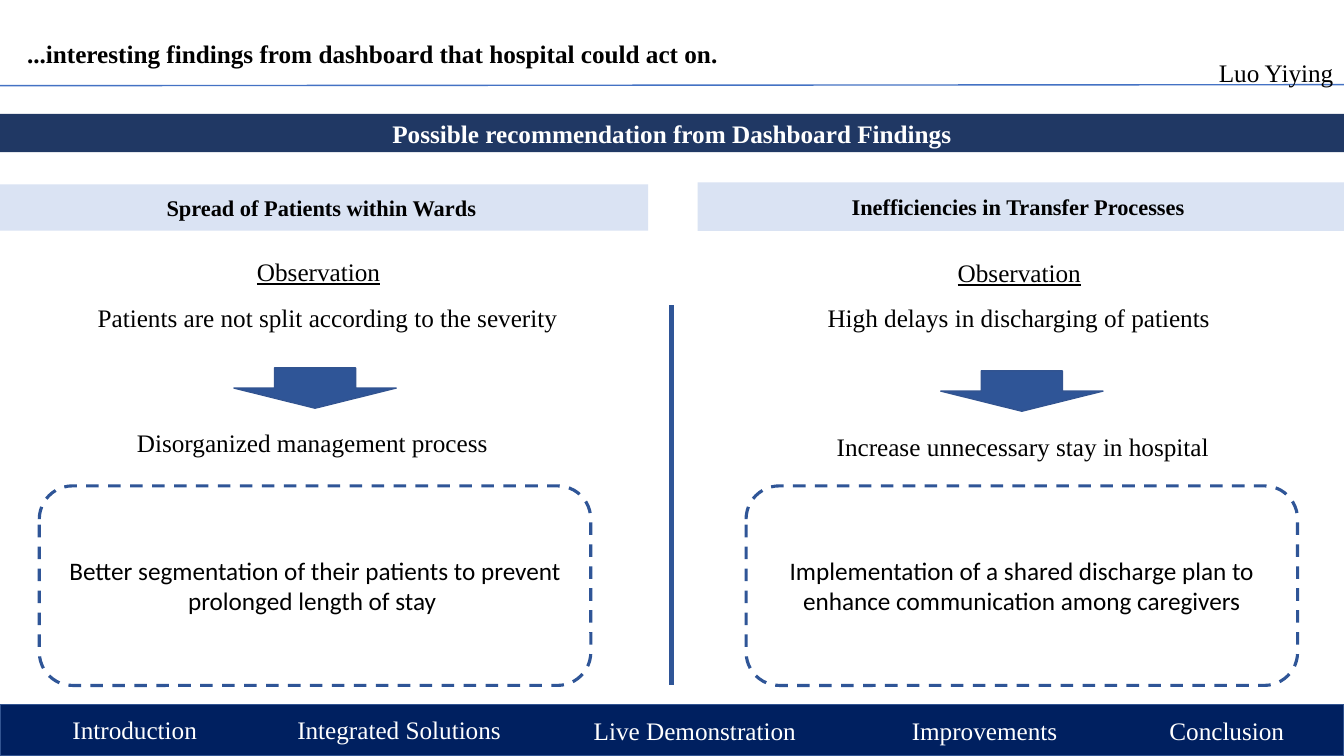
from lxml import etree
from pptx import Presentation
from pptx import util as u
from pptx.dml import color
from pptx.enum import dml, shapes, text
from pptx.oxml import ns

PX = 9144
SERIF = "Times New Roman"
NAVY, BLUE, EDGE, PALE = "002060", "2F5597", "325491", "DAE3F3"
BLACK, WHITE = "000000", "FFFFFF"


def rgb(value):
    """Turn a hex string into a colour."""
    return color.RGBColor.from_string(value)


def px(*lengths):
    """Turn pixel lengths into EMU."""
    return [u.Emu(length * PX) for length in lengths]


def write(shape, words, size=18, font=SERIF, ink=BLACK, bold=False, underline=False,
          align="LEFT", anchor="TOP", wrap=True, spacing=None):
    """Put one formatted paragraph into a shape."""
    frame = shape.text_frame
    frame.word_wrap = wrap
    frame.vertical_anchor = getattr(text.MSO_ANCHOR, anchor)
    para = frame.paragraphs[0]
    para.alignment = getattr(text.PP_ALIGN, align)
    para.line_spacing = spacing
    span = para.add_run()
    span.text = words
    span.font.name = font
    span.font.size = u.Pt(size)
    span.font.bold = bold
    span.font.underline = underline
    span.font.color.rgb = rgb(ink)


def add_label(page, place, words, **style):
    """Add a text box."""
    write(page.shapes.add_textbox(*px(*place)), words, **style)


def add_box(page, kind, place, fill, edge=None, width=1, dash=False):
    """Add a filled preset shape with an optional outline."""
    box = page.shapes.add_shape(getattr(shapes.MSO_SHAPE, kind), *px(*place))
    box.shadow.inherit = False
    box.fill.solid()
    box.fill.fore_color.rgb = rgb(fill)
    if edge is None:
        box.line.fill.background()
    else:
        box.line.color.rgb = rgb(edge)
        box.line.width = u.Pt(width)
    if dash:
        box.line.dash_style = dml.MSO_LINE.DASH
    return box


def add_rule(page, ends, ink, width):
    """Add a straight line without a shadow."""
    rule = page.shapes.add_connector(shapes.MSO_CONNECTOR.STRAIGHT, *px(*ends))
    rule.line.color.rgb = rgb(ink)
    rule.line.width = u.Pt(width)
    etree.SubElement(rule._element.spPr, ns.qn("a:effectLst"))


def add_band(page, place, fill, words, **style):
    """Add a full-colour band with a centred bold heading."""
    band = add_box(page, "RECTANGLE", place, fill)
    write(band, words, bold=True, align="CENTER", anchor="MIDDLE", **style)


def add_finding(page, heading, observation, arrow, effect, advice):
    """Add one column leading from an observation to a recommendation."""
    add_band(page, heading[0], PALE, heading[1], size=16)
    add_label(page, observation[0], "Observation", underline=True)
    add_label(page, observation[1], observation[2], wrap=False)
    add_box(page, "DOWN_ARROW", (*arrow, 161, 40), BLUE, EDGE)
    add_label(page, effect[0], effect[1], wrap=False)
    card = add_box(page, "ROUNDED_RECTANGLE", (advice[0], 482, 547, 198), WHITE, BLUE, 2.25, True)
    write(card, advice[1], font="Calibri", align="CENTER", anchor="MIDDLE")


def add_navigation(page):
    """Add the bottom bar with its section names."""
    add_box(page, "FLOWCHART_PROCESS", (0, 699, 1333, 51), NAVY, EDGE)
    sections = [
        (62, 704, 165, "Introduction", "LEFT"),
        (285, 704, 228, "Integrated Solutions", "LEFT"),
        (579, 705, 226, "Live Demonstration", "LEFT"),
        (876, 705, 201, "Improvements", "CENTER"),
        (1150, 705, 183, "Conclusion", "LEFT"),
    ]
    for left, top, width, name, align in sections:
        add_label(page, (left, top, width, 40), name, ink=WHITE, align=align)


def main():
    """Build and save the slide."""
    deck = Presentation()
    deck.slide_width, deck.slide_height = px(1333, 750)
    page = deck.slides.add_slide(deck.slide_layouts[6])
    add_navigation(page)
    add_rule(page, (0, 85, 1333, 84), "4472C4", 1)
    add_label(page, (17, 18, 1150, 74),
              "...interesting findings from dashboard that hospital could act on.",
              bold=True, anchor="MIDDLE", spacing=0.9)
    add_label(page, (1199, 52, 134, 40), "Luo Yiying")
    add_band(page, (0, 113, 1333, 38), "203864",
             "Possible recommendation from Dashboard Findings", ink=WHITE)
    add_rule(page, (666, 303, 666, 680), BLUE, 3)
    add_finding(
        page,
        ((0, 183, 643, 46), "Spread of Patients within Wards "),
        ((245, 249, 152, 40), (87, 295, 487, 40),
         "Patients are not split according to the severity"),
        (232, 365),
        ((126, 419, 377, 40), "Disorganized management process"),
        (39, "Better segmentation of their patients to prevent prolonged length of stay "))
    add_finding(
        page,
        ((692, 181, 641, 48), "Inefficiencies in Transfer Processes "),
        ((940, 250, 152, 40), (811, 295, 410, 40),
         "High delays in discharging of patients"),
        (933, 368),
        ((820, 423, 393, 40), "Increase unnecessary stay in hospital"),
        (740, "Implementation of a shared discharge plan to enhance communication among caregivers"))
    deck.save("out.pptx")


if __name__ == "__main__":
    main()
